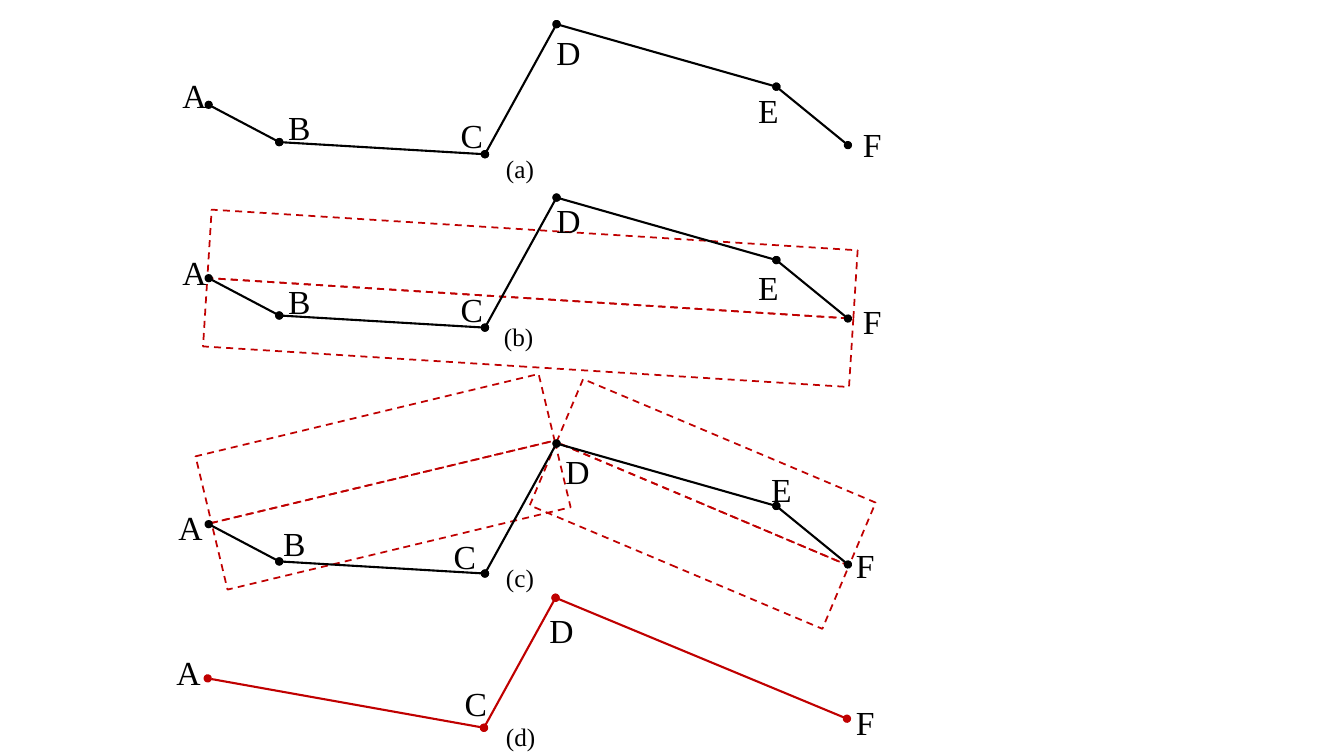
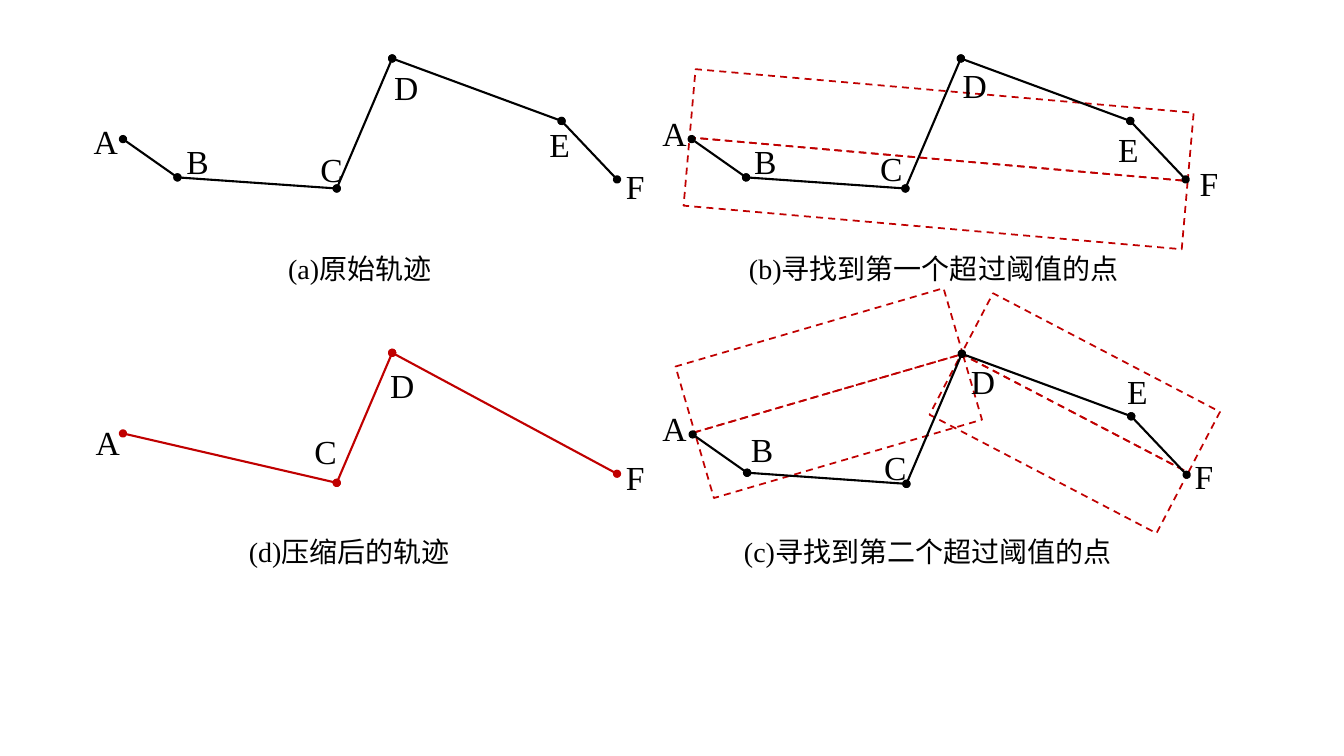
from dataclasses import dataclass
from itertools import pairwise
from math import cos, radians, sin

from lxml.etree import SubElement
from pptx import Presentation
from pptx.dml.color import RGBColor
from pptx.enum.dml import MSO_LINE
from pptx.enum.shapes import MSO_CONNECTOR, MSO_SHAPE
from pptx.enum.text import MSO_AUTO_SIZE
from pptx.oxml.ns import qn
from pptx.util import Pt

EMU_PER_PX = 9144  # 100 px to the inch


@dataclass(frozen=True)
class Theme:
    ink: RGBColor = RGBColor(0x00, 0x00, 0x00)
    accent: RGBColor = RGBColor(0xC0, 0x00, 0x00)
    latin_font: str = "Times New Roman"
    chinese_font: str = "Noto Sans CJK SC"
    point_size: int = 24
    mark_size: int = 18
    caption_size: int = 20
    track_width: float = 1.5
    corridor_width: float = 1.25
    corridor_height: int = 68


@dataclass(frozen=True)
class Panel:
    """One step: track offset, label places and corridors (centre x, y, length, angle)."""
    offset: tuple
    labels: dict
    corridors: tuple = ()
    compressed: bool = False


@dataclass(frozen=True)
class Caption:
    left: int
    top: int
    width: int
    mark: str
    words: str = ""


THEME = Theme()

STACKED_TRACK = {"A": (207, 104), "B": (277, 141), "C": (481, 153),
                 "D": (552, 24), "E": (770, 86), "F": (841, 144)}
STACKED_PANELS = (
    Panel((0, 0), {"A": (171, 69), "B": (276, 101), "C": (447, 109),
                   "D": (542, 27), "E": (742, 84), "F": (846, 118)}),
    Panel((0, 172), {"A": (171, 245), "B": (276, 274), "C": (447, 282),
                     "D": (542, 193), "E": (742, 260), "F": (846, 294)},
          corridors=((526, 296, 642, 3.6),)),
    Panel((0, 416), {"A": (167, 498), "B": (271, 514), "C": (440, 527),
                     "D": (551, 442), "E": (755, 460), "F": (839, 536)},
          corridors=((380, 478, 350, -13.5), (697, 500, 315, 22.9))),
    Panel((-1, 569), {"A": (165, 642), "C": (451, 673),
                      "D": (535, 600), "F": (839, 691)}, compressed=True),
)
STACKED_CAPTIONS = (
    Caption(492, 147, 52, "(a)"),
    Caption(490, 314, 52, "(b)"),
    Caption(492, 553, 52, "(c)"),
    Caption(492, 711, 52, "(d)"),
)

GRID_TRACK = {"A": (122, 138), "B": (176, 176), "C": (334, 187),
              "D": (389, 58), "E": (557, 120), "F": (612, 178)}
GRID_PANELS = (
    Panel((0, 0), {"A": (83, 115), "B": (175, 135), "C": (308, 143),
                   "D": (381, 61), "E": (535, 118), "F": (611, 160)}),
    Panel((564, 0), {"A": (647, 107), "B": (738, 135), "C": (863, 142),
                     "D": (945, 59), "E": (1099, 123), "F": (1180, 157)},
          corridors=((931, 158, 496, 5),)),
    Panel((565, 293), {"A": (647, 400), "B": (735, 421), "C": (867, 438),
                       "D": (953, 353), "E": (1108, 363), "F": (1175, 447)},
          corridors=((822, 390, 277, -16.3), (1066, 410, 254, 27.6))),
    Panel((0, 292), {"A": (85, 414), "C": (302, 423),
                     "D": (377, 357), "F": (611, 448)}, compressed=True),
)
GRID_CAPTIONS = (
    Caption(276, 245, 163, "(a)", "原始轨迹"),
    Caption(733, 245, 389, "(b)", "寻找到第一个超过阈值的点"),
    Caption(237, 525, 221, "(d)", "压缩后的轨迹"),
    Caption(728, 525, 388, "(c)", "寻找到第二个超过阈值的点"),
)


def px(length):
    return round(length * EMU_PER_PX)


def add_segment(shapes, start, end, color):
    """Draw a track segment with a round point at both ends."""
    segment = shapes.add_connector(MSO_CONNECTOR.STRAIGHT, *map(px, start + end))
    segment.line.color.rgb = color
    segment.line.width = Pt(THEME.track_width)
    outline = segment.line._get_or_add_ln()
    for tag in ("a:headEnd", "a:tailEnd"):
        SubElement(outline, qn(tag), type="oval")
    SubElement(segment.element.spPr, qn("a:effectLst"))


def add_corridor(shapes, center_x, center_y, length, angle):
    """Draw the threshold band as two rectangles, one on each side of its axis."""
    height = THEME.corridor_height
    for side in (-1, 1):
        shift = side * height / 2
        middle_x = center_x - shift * sin(radians(angle))
        middle_y = center_y + shift * cos(radians(angle))
        band = shapes.add_shape(
            MSO_SHAPE.RECTANGLE, px(middle_x - length / 2),
            px(middle_y - height / 2), px(length), px(height))
        band.rotation = angle
        band.shadow.inherit = False
        band.fill.background()
        band.line.color.rgb = THEME.accent
        band.line.width = Pt(THEME.corridor_width)
        band.line.dash_style = MSO_LINE.DASH


def add_text(shapes, left, top, width, height, size, spans):
    """Add one line of (words, font) spans."""
    box = shapes.add_textbox(px(left), px(top), px(width), px(height))
    frame = box.text_frame
    frame.word_wrap = True
    frame.auto_size = MSO_AUTO_SIZE.SHAPE_TO_FIT_TEXT
    para = frame.paragraphs[0]
    for words, font in spans:
        span = para.add_run()
        span.text = words
        span.font.name = font
        span.font.size = Pt(size)
        span.font.color.rgb = THEME.ink
        if font == THEME.chinese_font:
            SubElement(span.font._element, qn("a:ea"), typeface=font)


def add_panel(shapes, track, panel):
    for corridor in panel.corridors:
        add_corridor(shapes, *corridor)
    shift_x, shift_y = panel.offset
    points = [(x + shift_x, y + shift_y)
              for name, (x, y) in track.items() if name in panel.labels]
    color = THEME.accent if panel.compressed else THEME.ink
    for start, end in pairwise(points):
        add_segment(shapes, start, end, color)
    for name, (left, top) in panel.labels.items():
        add_text(shapes, left, top, 45, 50, THEME.point_size,
                 [(name, THEME.latin_font)])


def add_caption(shapes, caption, height, size):
    spans = [(caption.mark, THEME.latin_font)]
    if caption.words:
        spans.append((caption.words, THEME.chinese_font))
    add_text(shapes, caption.left, caption.top, caption.width, height, size, spans)


def add_stacked_page(deck, layout):
    page = deck.slides.add_slide(layout)
    for panel in STACKED_PANELS:
        add_panel(page.shapes, STACKED_TRACK, panel)
    for caption in STACKED_CAPTIONS:
        add_caption(page.shapes, caption, 40, THEME.mark_size)


def add_grid_page(deck, layout):
    page = deck.slides.add_slide(layout)
    for panel in GRID_PANELS:
        add_panel(page.shapes.add_group_shape().shapes, GRID_TRACK, panel)
    for caption in GRID_CAPTIONS:
        add_caption(page.shapes, caption, 44, THEME.caption_size)


def main():
    deck = Presentation()
    deck.slide_width, deck.slide_height = px(1333), px(750)
    blank = deck.slide_layouts[6]
    add_stacked_page(deck, blank)
    add_grid_page(deck, blank)
    deck.save("out.pptx")


if __name__ == "__main__":
    main()
